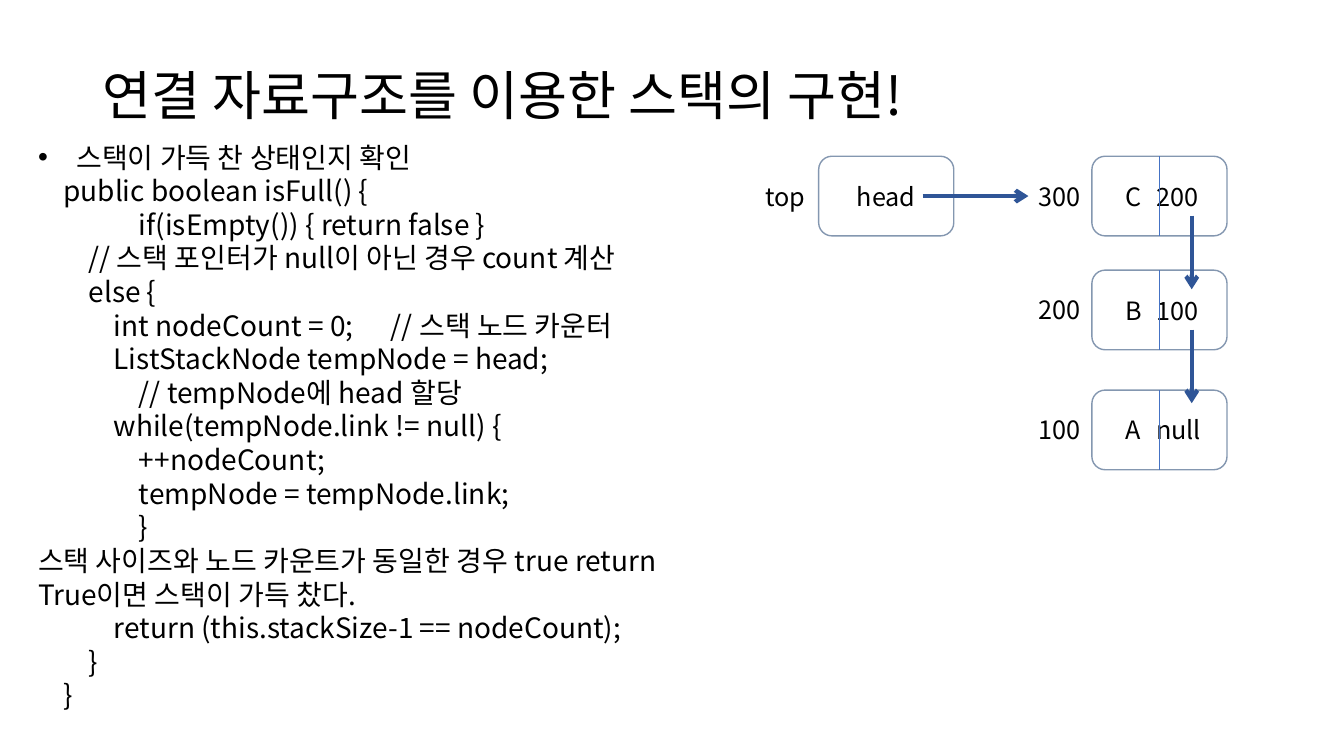
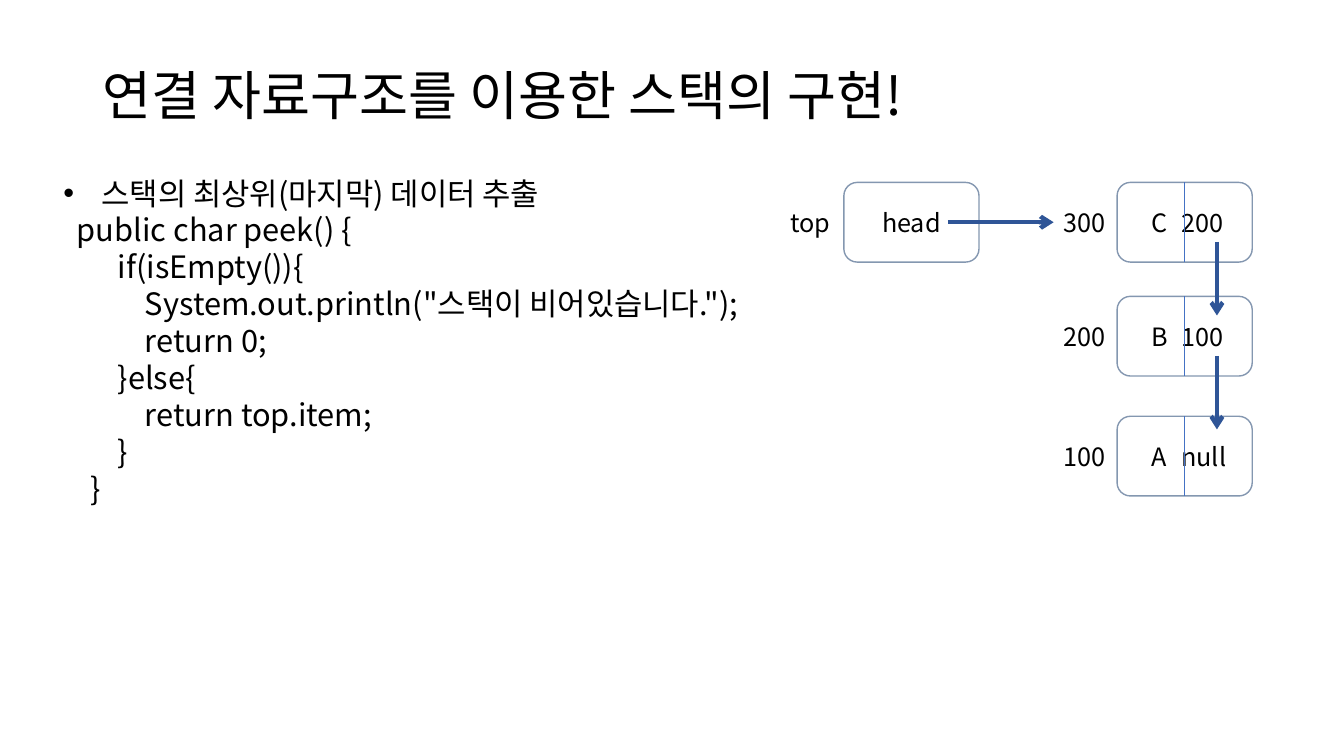
"""Build two slides on a stack made from linked nodes."""
from lxml import etree
from pptx import Presentation
from pptx.dml.color import RGBColor
from pptx.enum.shapes import MSO_CONNECTOR, MSO_SHAPE
from pptx.enum.text import MSO_ANCHOR, MSO_AUTO_SIZE, PP_ALIGN
from pptx.oxml.ns import qn
from pptx.util import Inches, Pt

STRAIGHT = MSO_CONNECTOR.STRAIGHT
ROUNDED = MSO_SHAPE.ROUNDED_RECTANGLE
MIDDLE = MSO_ANCHOR.MIDDLE
NO_FIT = MSO_AUTO_SIZE.NONE
LEFT, CENTER = PP_ALIGN.LEFT, PP_ALIGN.CENTER

BLACK = RGBColor(0x00, 0x00, 0x00)
WHITE = RGBColor(0xFF, 0xFF, 0xFF)
BORDER = RGBColor(0x84, 0x97, 0xB0)
DIVIDER = RGBColor(0x44, 0x72, 0xC4)
ARROW = RGBColor(0x2F, 0x55, 0x97)

FONT = "Noto Sans CJK KR"
TITLE = "연결 자료구조를 이용한 스택의 구현!"
TITLE_SIZE, NODE_SIZE = 38, 18
LINE_RATIO = 1.2
NODE_WIDTH, NODE_HEIGHT = 1.34, 0.79
LABEL_OFFSET, LABEL_WIDTH, LABEL_HEIGHT = 0.63, 0.87, 0.4
HEAD_OFFSET = 2.71
LINK_X, LINK_START, LINK_END = 0.99, 0.59, 1.32
NODES = [
    ("300", "C\t200", 0, 0.57),
    ("200", "B\t100", 1.13, 0.57),
    ("100", "A\tnull", 2.32, 0.53),
]

IS_FULL = [
    (1, "public boolean isFull() {"),
    (4, "if(isEmpty()) { return false }"),
    (2, "// 스택 포인터가 null이 아닌 경우 count 계산"),
    (2, "else {"),
    (3, "int nodeCount = 0;\t// 스택 노드 카운터"),
    (3, "ListStackNode tempNode = head;"),
    (4, "// tempNode에 head 할당"),
    (3, "while(tempNode.link != null) {"),
    (4, "++nodeCount;"),
    (4, "tempNode = tempNode.link;"),
    (4, "}"),
    (0, "스택 사이즈와 노드 카운트가 동일한 경우 true return"),
    (0, "True이면 스택이 가득 찼다."),
    (3, "return (this.stackSize-1 == nodeCount);"),
    (2, "}"),
    (1, "}"),
]
PEEK = [
    (0.5, "public char peek() {"),
    (2, "if(isEmpty()){"),
    (3, 'System.out.println("스택이 비어있습니다.");'),
    (3, "return 0;"),
    (2, "}else{"),
    (3, "return top.item;"),
    (2, "}"),
    (1, "}"),
]


class StackDeck:
    """Hold the shared style and the current slide."""

    def __init__(self):
        """Start a wide deck."""
        self.deck = Presentation()
        self.deck.slide_width = Inches(13.33)
        self.deck.slide_height = Inches(7.5)
        self.page = None

    def style(self, para, size, align=LEFT):
        """Set alignment and font of a paragraph."""
        para.alignment = align
        font = para.font
        font.size = Pt(size)
        font.color.rgb = BLACK
        font.name = FONT
        etree.SubElement(font._rPr, qn("a:ea"), typeface=FONT)

    def indent(self, para, first, margin=0, bullet=None, stop=None):
        """Set the indents, bullet and tab stop of a paragraph."""
        props = para._p.get_or_add_pPr()
        props.set("marL", str(Inches(margin)))
        props.set("indent", str(Inches(first)))
        if bullet:
            etree.SubElement(props, qn("a:buFont"), typeface="Arial")
            etree.SubElement(props, qn("a:buChar"), char=bullet)
        if stop:
            tabs = etree.SubElement(props, qn("a:tabLst"))
            etree.SubElement(tabs, qn("a:tab"), pos=str(Inches(stop)), algn="l")

    def add_page(self):
        """Add a slide with the shared title."""
        self.page = self.deck.slides.add_slide(self.deck.slide_layouts[5])
        title = self.page.shapes.title
        title.left, title.top = Inches(0.92), Inches(0.4)
        title.width, title.height = Inches(11.5), Inches(1.15)
        frame = title.text_frame
        frame.text = TITLE
        frame.word_wrap = True
        frame.auto_size = NO_FIT
        frame.vertical_anchor = MIDDLE
        para = frame.paragraphs[0]
        para.line_spacing = 0.9
        self.style(para, TITLE_SIZE)

    def text_box(self, left, top, width, height):
        """Add an empty wrapping text box and return its frame."""
        box = self.page.shapes.add_textbox(
            Inches(left), Inches(top), Inches(width), Inches(height))
        box.text_frame.word_wrap = True
        return box.text_frame

    def code(self, place, heading, lines, size, step):
        """Add a bulleted heading followed by indented code lines."""
        frame = self.text_box(*place)
        para = frame.paragraphs[0]
        para.text = heading
        self.indent(para, -0.38, margin=0.38, bullet="•")
        for level, line in lines:
            para = frame.add_paragraph()
            para.text = line
            self.indent(para, level * step, stop=3.38 if "\t" in line else None)
        for para in frame.paragraphs:
            para.line_spacing = Pt(size * LINE_RATIO)
            self.style(para, size)

    def label(self, left, top, text):
        """Add a label beside a node, centred on its height."""
        frame = self.text_box(left - LABEL_OFFSET, top + (NODE_HEIGHT - LABEL_HEIGHT) / 2,
                              LABEL_WIDTH, LABEL_HEIGHT)
        frame.vertical_anchor = MIDDLE
        frame.text = text
        self.style(frame.paragraphs[0], NODE_SIZE)

    def node(self, left, top, name, text, stop=None):
        """Add a labelled node, split in two when it has a tab stop."""
        box = self.page.shapes.add_shape(
            ROUNDED, Inches(left), Inches(top), Inches(NODE_WIDTH), Inches(NODE_HEIGHT))
        box.shadow.inherit = False
        box.fill.solid()
        box.fill.fore_color.rgb = WHITE
        box.line.color.rgb = BORDER
        box.line.width = Pt(1)
        frame = box.text_frame
        frame.vertical_anchor = MIDDLE
        frame.text = text
        para = frame.paragraphs[0]
        if stop:
            self.indent(para, 0.2, stop=stop)
        self.style(para, NODE_SIZE, LEFT if stop else CENTER)
        self.label(left, top, name)
        if stop:
            middle = left + NODE_WIDTH / 2
            self.line((middle, top), (middle, top + NODE_HEIGHT), DIVIDER, 0.5)

    def line(self, start, end, color, width, arrow=False):
        """Add a straight line, with an arrowhead on request."""
        link = self.page.shapes.add_connector(
            STRAIGHT, *(Inches(value) for value in (*start, *end)))
        link.line.color.rgb = color
        link.line.width = Pt(width)
        if arrow:
            etree.SubElement(link.line._get_or_add_ln(), qn("a:tailEnd"), type="arrow")
        etree.SubElement(link._element.spPr, qn("a:effectLst"))

    def diagram(self, left, top):
        """Draw the head pointer and the chain of nodes."""
        self.node(left - HEAD_OFFSET, top, "top", "head")
        for name, text, offset, stop in NODES:
            self.node(left, top + offset, name, text, stop)
        center = top + NODE_HEIGHT / 2
        self.line((left - 1.68, center), (left - LABEL_OFFSET, center), ARROW, 3, True)
        for *_, offset, _ in NODES[:-1]:
            start = top + offset
            self.line((left + LINK_X, start + LINK_START),
                      (left + LINK_X, start + LINK_END), ARROW, 3, True)


stack = StackDeck()
stack.add_page()
stack.code((0.28, 1.34, 6.97, 5.82), "스택이 가득 찬 상태인지 확인", IS_FULL, 20, 0.25)
stack.diagram(10.83, 1.55)
stack.add_page()
stack.code((0.53, 1.68, 8.86, 3.43), "스택의 최상위(마지막) 데이터 추출", PEEK, 22, 0.27)
stack.diagram(11.08, 1.81)
stack.deck.save("out.pptx")
